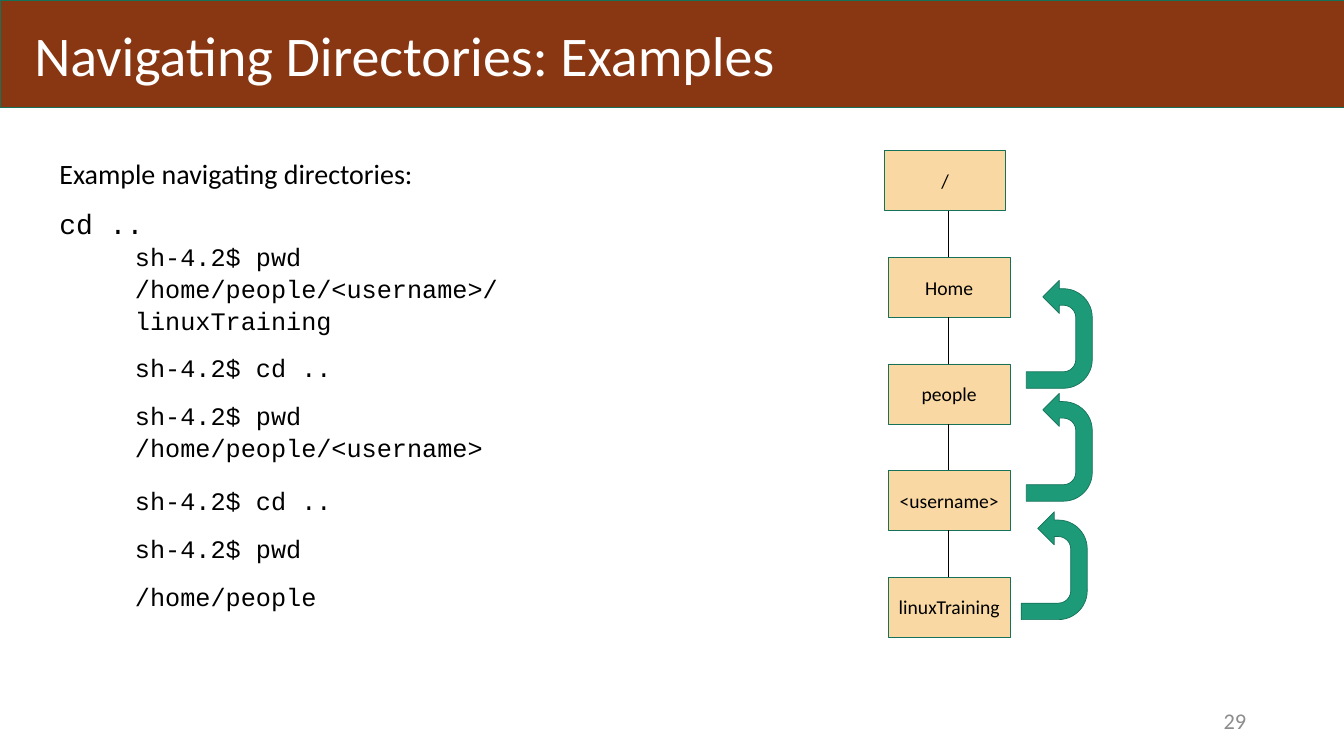
from lxml import etree
from pptx import Presentation
from pptx.dml.color import RGBColor
from pptx.enum.shapes import MSO_CONNECTOR, MSO_SHAPE
from pptx.enum.text import MSO_ANCHOR, MSO_AUTO_SIZE, PP_ALIGN
from pptx.oxml.ns import qn
from pptx.util import Inches, Pt

RECT, UTURN = MSO_SHAPE.RECTANGLE, MSO_SHAPE.U_TURN_ARROW
STRAIGHT = MSO_CONNECTOR.STRAIGHT
TOP, MIDDLE = MSO_ANCHOR.TOP, MSO_ANCHOR.MIDDLE
LEFT, CENTER, RIGHT = PP_ALIGN.LEFT, PP_ALIGN.CENTER, PP_ALIGN.RIGHT
NO_FIT = MSO_AUTO_SIZE.NONE

SANS, MONO = "Calibri", "Courier New"
COLORS = {
    "bar": "893713", "edge": "157259", "node": "F9D8A3", "arrow": "1D9A78",
    "text": "000000", "title": "FFFFFF", "number": "8C8C8C",
}
# text, font, size, left indent, space before
LINES = [
    ("Example navigating directories:", SANS, 40, 0.5, 0),
    ("cd ..", MONO, 40, 0.5, 21),
    ("sh-4.2$ pwd", MONO, 36, 2, 0),
    ("/home/people/<username>/linuxTraining", MONO, 36, 2, 0),
    ("sh-4.2$ cd ..", MONO, 36, 2, 23),
    ("sh-4.2$ pwd", MONO, 36, 2, 23),
    ("/home/people/<username>", MONO, 36, 2, 0),
    ("sh-4.2$ cd ..", MONO, 36, 2, 30),
    ("sh-4.2$ pwd", MONO, 36, 2, 24),
    ("/home/people", MONO, 36, 2, 23),
]
FOLDERS = ["/", "Home", "people", "<username>", "linuxTraining"]
UP_ARROWS = [(2.32, 2.99), (2.32, 5.23), (2.22, 7.58)]


def rgb(name):
    """Return the named colour."""
    return RGBColor.from_string(COLORS[name])


def style_text(p, text, size, color, font=SANS, align=LEFT):
    """Write a paragraph in one font."""
    p.text, p.alignment = text, align
    p.font.name, p.font.size = font, Pt(size)
    p.font.color.rgb = rgb(color)


def add_block(s, kind, box, fill):
    """Add a filled preset shape with the common edge."""
    sp = s.shapes.add_shape(kind, *map(Inches, box))
    sp.shadow.inherit = False
    sp.fill.solid()
    sp.fill.fore_color.rgb = rgb(fill)
    sp.line.color.rgb = rgb("edge")
    sp.line.width = Pt(1)
    return sp


def add_header(s, x, y, w, h):
    """Place the title over a coloured bar."""
    bar = add_block(s, RECT, (x, y, w, h), "bar")
    s.shapes._spTree.insert(2, bar._element)
    title = s.shapes.title
    title.left, title.top = Inches(x + 0.58), Inches(y + 0.35)
    title.width, title.height = Inches(16.97), Inches(1.45)
    tf = title.text_frame
    tf.auto_size, tf.vertical_anchor = NO_FIT, TOP
    style_text(tf.paragraphs[0], "Navigating Directories: Examples", 80, "title")


def add_session(s, x, y, w, h):
    """Place the shell session as indented paragraphs."""
    tf = s.shapes.add_textbox(*map(Inches, (x, y, w, h))).text_frame
    tf.word_wrap = True
    for i, (text, font, size, indent, before) in enumerate(LINES):
        p = tf.add_paragraph() if i else tf.paragraphs[0]
        style_text(p, text, size, "text", font)
        p.line_spacing, p.space_before = 1.05, Pt(before)
        p._p.get_or_add_pPr().set("marL", str(Inches(indent)))


def add_link(s, x, y1, y2):
    """Join two folders with a vertical line."""
    line = s.shapes.add_connector(
        STRAIGHT, Inches(x), Inches(y1), Inches(x), Inches(y2))
    line.line.color.rgb = rgb("text")
    line.line.width = Pt(1.5)
    etree.SubElement(line._element.spPr, qn("a:effectLst"))


def add_tree(s, x, y, w, h):
    """Place the directory tree and the arrows that climb it."""
    node_w, node_h = 2.41, 1.19
    pitch = (h - node_h) / (len(FOLDERS) - 1)
    for i, folder in enumerate(FOLDERS):
        top = y + i * pitch
        left = x + 0.08 if i else x
        node = add_block(s, RECT, (left, top, node_w, node_h), "node")
        tf = node.text_frame
        tf.vertical_anchor = MIDDLE
        style_text(tf.paragraphs[0], folder, 28, "text", align=CENTER)
        if i:
            add_link(s, x + 1.28, top - pitch + node_h, top)
    for dx, dy in UP_ARROWS:
        arrow = add_block(s, UTURN, (x + w - 4.44 + dx + 0.08, y + dy, 2.14, 1.31), "arrow")
        arrow.rotation = 270
        arrow._element.spPr.get_or_add_xfrm().set("flipV", "1")


def add_page_number(s, x, y, w, h):
    """Place the page number."""
    tf = s.shapes.add_textbox(*map(Inches, (x, y, w, h))).text_frame
    tf.word_wrap, tf.vertical_anchor = True, MIDDLE
    style_text(tf.paragraphs[0], "29", 32, "number", align=RIGHT)


def main():
    """Build and save the slide."""
    prs = Presentation()
    prs.slide_width, prs.slide_height = Inches(26.67), Inches(15)
    s = prs.slides.add_slide(prs.slide_layouts[5])
    add_header(s, 0, 0, 26.67, 2.14)
    add_session(s, 0.58, 3.02, 12.44, 8.89)
    add_tree(s, 17.55, 2.99, 4.44, 9.65)
    add_page_number(s, 18.83, 13.9, 6, 0.8)
    prs.save("out.pptx")


if __name__ == "__main__":
    main()
